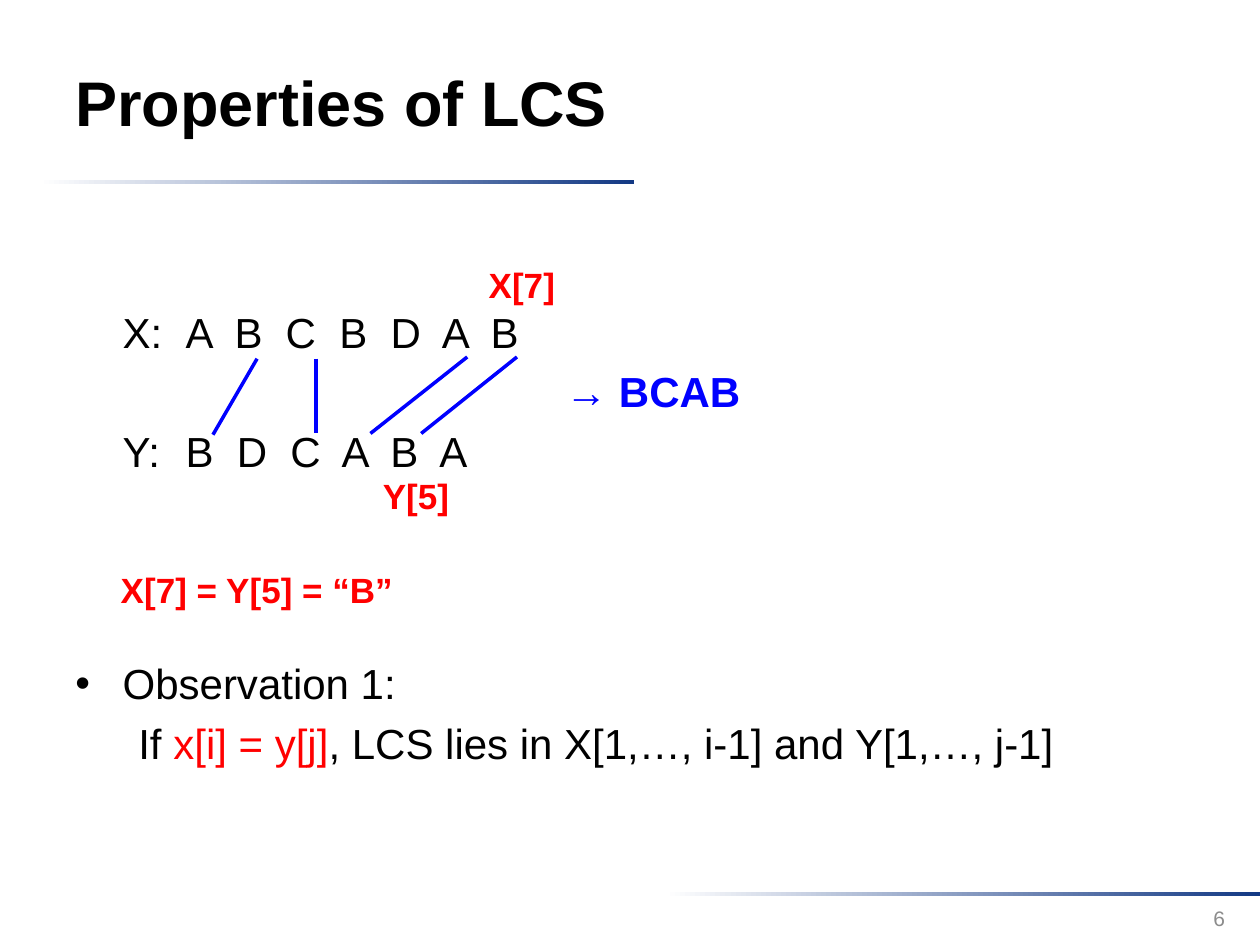
from lxml import etree
from pptx import Presentation
from pptx.dml.color import RGBColor
from pptx.enum.shapes import MSO_CONNECTOR, MSO_SHAPE
from pptx.enum.text import MSO_ANCHOR, PP_ALIGN
from pptx.oxml.ns import qn
from pptx.util import Pt

STRAIGHT = MSO_CONNECTOR.STRAIGHT
RECTANGLE = MSO_SHAPE.RECTANGLE
TOP, MIDDLE = MSO_ANCHOR.TOP, MSO_ANCHOR.MIDDLE
RIGHT = PP_ALIGN.RIGHT

BLACK = RGBColor(0x00, 0x00, 0x00)
WHITE = RGBColor(0xFF, 0xFF, 0xFF)
NAVY = RGBColor(0x13, 0x39, 0x84)
BLUE = RGBColor(0x00, 0x00, 0xFF)
RED = RGBColor(0xFF, 0x00, 0x00)
GRAY = RGBColor(0x8C, 0x8C, 0x8C)

FONT = "Arial"
BODY_SIZE = 24
LINE_HEIGHT = 27.6
LINE_GAP = 5.3
HANGING = 27
LETTER_SPACING = 333  # hundredths of a point


def add_box(slide, box, anchor=TOP, wrap=True):
    frame = slide.shapes.add_textbox(*map(Pt, box)).text_frame
    frame.word_wrap = wrap
    frame.vertical_anchor = anchor
    return frame


def add_run(paragraph, text, size=BODY_SIZE, color=BLACK, bold=False):
    run = paragraph.add_run()
    run.text = text
    run.font.name = FONT
    run.font.size = Pt(size)
    run.font.bold = bold
    run.font.color.rgb = color
    return run


def set_indent(paragraph, left, first=0):
    properties = paragraph._p.get_or_add_pPr()
    properties.set("marL", str(Pt(left)))
    properties.set("indent", str(Pt(first)))
    return properties


def add_rule(slide, box):
    """Bar that fades from white to navy."""
    rule = slide.shapes.add_shape(RECTANGLE, *map(Pt, box))
    rule.shadow.inherit = False
    rule.line.fill.background()
    rule.fill.gradient()
    rule.fill.gradient_angle = 0
    for stop, color in zip(rule.fill.gradient_stops, (WHITE, NAVY)):
        stop.color.rgb = color


def add_title(slide, box):
    frame = add_box(slide, box, MIDDLE)
    add_run(frame.paragraphs[0], "Properties of LCS", 36, bold=True)


def add_sequence(paragraph, label, letters):
    """Label at the hanging indent, then letters with widened spacing."""
    set_indent(paragraph, HANGING, -HANGING)
    add_run(paragraph, f"\t{label}\t")
    sequence = add_run(paragraph, " ".join(letters))
    sequence._r.get_or_add_rPr().set("spc", str(LETTER_SPACING))


def add_body(slide, box):
    frame = add_box(slide, box)
    x_row = frame.paragraphs[0]
    result, y_row, observation, rule = (frame.add_paragraph() for _ in range(4))
    for paragraph in frame.paragraphs:
        paragraph.space_before = Pt(LINE_GAP)

    add_sequence(x_row, "X:", "ABCBDAB")
    set_indent(result, 280)
    add_run(result, "→ BCAB", color=BLUE, bold=True)
    add_sequence(y_row, "Y:", "BDCABA")

    observation.space_before = Pt(3 * LINE_HEIGHT + 4 * LINE_GAP)
    bullet = set_indent(observation, HANGING, -HANGING)
    etree.SubElement(bullet, qn("a:buFont"), typeface=FONT)
    etree.SubElement(bullet, qn("a:buChar"), char="•")
    add_run(observation, "Observation 1:")

    set_indent(rule, 36)
    add_run(rule, "If ")
    add_run(rule, "x[i] = y[j]", color=RED)
    add_run(rule, ", LCS lies in X[1,…, i-1] and Y[1,…, j-1]")


def add_match(slide, x_end, y_end):
    """Line joining a letter of X to the same letter of Y."""
    match = slide.shapes.add_connector(STRAIGHT, *map(Pt, x_end + y_end))
    match.line.color.rgb = BLUE
    match.line.width = Pt(2)
    etree.SubElement(match._element.spPr, qn("a:effectLst"))


def add_label(slide, box, text):
    frame = add_box(slide, box, wrap=False)
    add_run(frame.paragraphs[0], text, 20, RED, True)


def add_page_number(slide, box):
    number = add_box(slide, box, MIDDLE).paragraphs[0]
    number.alignment = RIGHT
    add_run(number, "6", 12, GRAY)


def main():
    presentation = Presentation()
    presentation.slide_width, presentation.slide_height = Pt(720), Pt(540)
    slide = presentation.slides.add_slide(presentation.slide_layouts[6])

    add_rule(slide, (22.3, 103, 340, 2.2))
    add_rule(slide, (380, 509.8, 340, 2.2))
    add_title(slide, (36, 13, 556.6, 90))
    add_body(slide, (36, 171.4, 648, 296))

    matches = (
        ((146.9, 205), (121.7, 248.4)),
        ((180.7, 205), (180.7, 247.7)),
        ((267, 204), (211.7, 247.7)),
        ((295.4, 204), (240.7, 247.7)),
    )
    for x_end, y_end in matches:
        add_match(slide, x_end, y_end)

    add_page_number(slide, (539.3, 510.5, 167.8, 28.8))
    add_label(slide, (272.2, 146.9, 52.6, 31.7), "X[7]")
    add_label(slide, (211.7, 267.8, 54, 31.7), "Y[5]")
    add_label(slide, (61.9, 321.1, 171.4, 31.7), "X[7] = Y[5] = “B”")
    presentation.save("out.pptx")


if __name__ == "__main__":
    main()
